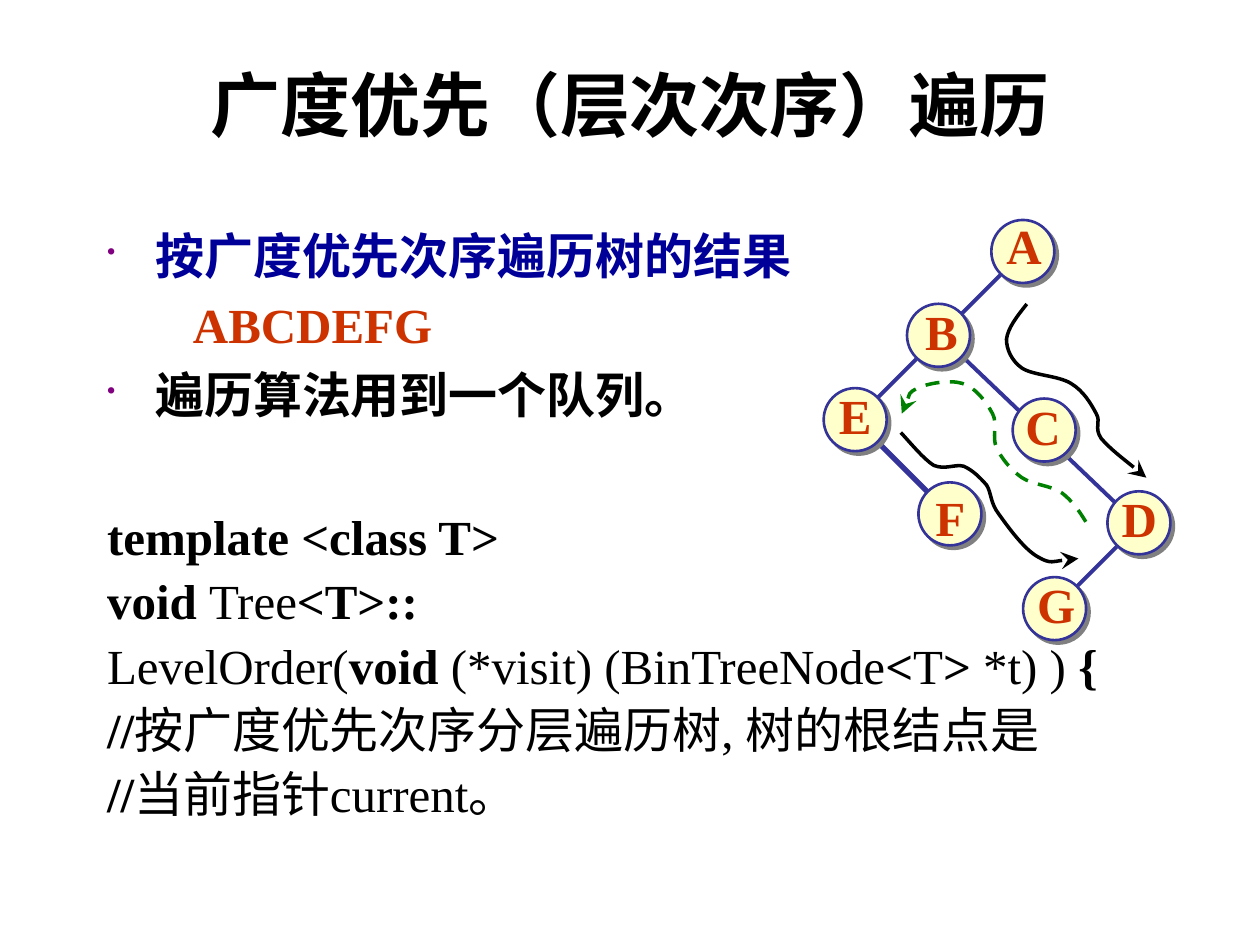
from lxml import etree
from pptx import Presentation
from pptx.dml.color import RGBColor
from pptx.enum.dml import MSO_LINE
from pptx.enum.shapes import MSO_CONNECTOR, MSO_SHAPE
from pptx.enum.text import MSO_ANCHOR, PP_ALIGN
from pptx.oxml.ns import qn
from pptx.util import Cm, Pt

STRAIGHT, OVAL = MSO_CONNECTOR.STRAIGHT, MSO_SHAPE.OVAL
CENTER, MIDDLE, DASH = PP_ALIGN.CENTER, MSO_ANCHOR.MIDDLE, MSO_LINE.DASH

COLORS = {"text": "000000", "result": "000099", "letter": "CC3300", "bullet": "800080",
          "edge": "333399", "node": "FFFFCC", "shadow": "808080", "return": "008000"}
SERIF, SANS = "Times New Roman", "Noto Sans CJK JP"

HEADINGS = [  # text, colour, bulleted
    ("按广度优先次序遍历树的结果", "result", True),
    ("ABCDEFG", "letter", False),
    ("遍历算法用到一个队列。", "text", True),
]
CODE = [  # spans alternate bold, regular, bold, ...
    ["template <class T>"],
    ["void ", "Tree", "<T>::"],
    ["", "LevelOrder(", "void", " (*visit) (BinTreeNode", "<", "T", ">", " *t) ) ", "{"],
    ["//", "按广度优先次序分层遍历树, 树的根结点是"],
    ["//", "当前指针current。"],
]

# Tree geometry in cm, relative to the tree's box
NODE_SIZE = 1.27
NODES = {"A": (4.01, 0.62), "B": (2.31, 2.31), "D": (6.35, 6.09), "C": (4.44, 4.22),
         "E": (0.63, 4.01), "G": (4.65, 7.82), "F": (2.54, 5.91)}
LETTER_SHIFT = (0, -0.09)
LETTER_SHIFTS = {"A": (0.02, -0.14), "B": (0.06, -0.09), "C": (-0.03, -0.09), "F": (0.01, 0.07)}
EDGES = [  # start, end, width in points
    ((6.12, 6.35), (4.85, 7.62), 2.25),
    ((0.84, 4.22), (2.11, 5.49), 3),
    ((3.81, 0.84), (0.84, 3.81), 2.25),
    ((2.74, 2.69), (6.12, 5.92), 2.25),
]
# Bezier chains: a start, then two controls and an end for each piece
ROUTES = [
    ("text", None, [
        (4.09, 1.68), (3.89, 1.93), (3.71, 2.16), (3.68, 2.39), (3.68, 2.59), (3.78, 2.82),
        (3.99, 2.97), (4.22, 3.12), (4.72, 3.12), (4.98, 3.28), (5.23, 3.43), (5.38, 3.68),
        (5.49, 3.89), (5.59, 4.06), (5.44, 4.17), (5.59, 4.39), (5.77, 4.6), (6.35, 5.05),
        (6.5, 5.18)]),
    ("return", DASH, [
        (5.28, 6.07), (5.16, 5.87), (5, 5.64), (4.8, 5.49), (4.57, 5.33), (4.22, 5.33),
        (3.99, 5.18), (3.78, 5.03), (3.58, 4.8), (3.48, 4.57), (3.38, 4.37), (3.51, 4.09),
        (3.4, 3.89), (3.28, 3.66), (3.05, 3.35), (2.79, 3.28), (2.54, 3.2), (2.08, 3.28),
        (1.88, 3.38), (1.68, 3.48), (1.63, 3.78), (1.57, 3.89)]),
    ("text", None, [
        (1.55, 4.27), (1.78, 4.52), (2.01, 4.8), (2.21, 4.93), (2.44, 5.03), (2.64, 4.9),
        (2.82, 4.95), (3, 5.03), (3.15, 5.18), (3.28, 5.33), (3.38, 5.49), (3.35, 5.69),
        (3.53, 5.92), (3.71, 6.17), (4.04, 6.63), (4.32, 6.78), (4.57, 6.93), (4.98, 6.81),
        (5.13, 6.81)]),
]


def rgb(name):
    return RGBColor.from_string(COLORS[name])


def add_xml(parent, tag, **attributes):
    return etree.SubElement(parent, qn(tag), {key: str(value) for key, value in attributes.items()})


def set_font(para, size, color, name=SERIF, bold=True):
    font = para.font
    font.size, font.name, font.bold = Pt(size), name, bold
    font.color.rgb = rgb(color)


def set_indent(para, margin, first=0):
    props = para._p.get_or_add_pPr()
    props.set("marL", str(Cm(margin)))
    props.set("indent", str(Cm(first)))
    return props


def add_bullet(props):
    add_xml(add_xml(props, "a:buClr"), "a:srgbClr", val=COLORS["bullet"])
    add_xml(props, "a:buSzPct", val=50000)
    add_xml(props, "a:buChar", char="•")


def add_title(page, left, top, width, height):
    box = page.shapes.add_textbox(Cm(left), Cm(top), Cm(width), Cm(height))
    frame = box.text_frame
    frame.word_wrap, frame.vertical_anchor = True, MIDDLE
    para = frame.paragraphs[0]
    para.alignment = CENTER
    span = para.add_run()
    span.text = "广度优先（层次次序）遍历"
    set_font(para, 40, "text", SANS)
    add_xml(span._r.get_or_add_rPr(), "a:ea", typeface=SANS)


def add_body(page, left, top, width, height):
    """Bulleted headings followed by the code listing."""
    box = page.shapes.add_textbox(Cm(left), Cm(top), Cm(width), Cm(height))
    frame = box.text_frame
    frame.word_wrap = True
    for index, (text, color, bulleted) in enumerate(HEADINGS):
        para = frame.add_paragraph() if index else frame.paragraphs[0]
        para.add_run().text = text
        set_font(para, 28, color)
        para.space_before = Pt(6)
        if bulleted:
            add_bullet(set_indent(para, 0.97, -0.97))
        else:
            set_indent(para, 1.73)
    for index, spans in enumerate(CODE):
        para = frame.add_paragraph()
        set_font(para, 28, "text")
        set_indent(para, 0.97, -0.97)
        para.line_spacing = 1.05
        para.space_before = Pt(1.5 if index else 46)
        for order, text in enumerate(spans):
            if text:
                span = para.add_run()
                span.text, span.font.bold = text, order % 2 == 0


def add_edge(page, start, end, width):
    edge = page.shapes.add_connector(STRAIGHT, *map(Cm, start + end))
    edge.line.color.rgb, edge.line.width = rgb("edge"), Pt(width)
    add_xml(edge._element.spPr, "a:effectLst")


def add_node(page, x, y):
    half = NODE_SIZE / 2
    node = page.shapes.add_shape(OVAL, Cm(x - half), Cm(y - half), Cm(NODE_SIZE), Cm(NODE_SIZE))
    node.fill.solid()
    node.fill.fore_color.rgb = rgb("node")
    node.line.color.rgb, node.line.width = rgb("edge"), Pt(1.5)
    node.shadow.inherit = False
    effects = node._element.spPr.find(qn("a:effectLst"))
    shadow = add_xml(effects, "a:outerShdw", dist=Pt(2.8), dir=2700000, algn="ctr", rotWithShape=0)
    add_xml(shadow, "a:srgbClr", val=COLORS["shadow"])


def add_letter(page, letter, x, y):
    width, height = 1.2, 1.45
    dx, dy = LETTER_SHIFTS.get(letter, LETTER_SHIFT)
    box = page.shapes.add_textbox(Cm(x + dx - width / 2), Cm(y + dy - height / 2),
                                  Cm(width), Cm(height))
    frame = box.text_frame
    frame.word_wrap, frame.vertical_anchor = False, MIDDLE
    para = frame.paragraphs[0]
    para.alignment = CENTER
    para.add_run().text = letter
    set_font(para, 28, "letter")


def bend_segments(shape):
    """Turn every three straight segments into one cubic Bezier piece."""
    segments = list(shape._element.iter(qn("a:lnTo")))
    for first in range(0, len(segments), 3):
        piece = segments[first:first + 3]
        curve = etree.Element(qn("a:cubicBezTo"))
        piece[0].addprevious(curve)
        for segment in piece:
            curve.append(segment[0])
            segment.getparent().remove(segment)


def add_route(page, points, color, dash):
    start, *rest = [(Cm(x), Cm(y)) for x, y in points]
    builder = page.shapes.build_freeform(*start)
    builder.add_line_segments(rest, close=False)
    route = builder.convert_to_shape()
    bend_segments(route)
    route.fill.background()
    route.shadow.inherit = False
    route.line.color.rgb, route.line.width = rgb(color), Pt(2)
    if dash:
        route.line.dash_style = dash
    add_xml(route.line._get_or_add_ln(), "a:tailEnd", type="stealth", w="lg", len="lg")


def add_tree(page, left, top):
    def place(point):
        return left + point[0], top + point[1]

    for start, end, width in EDGES:
        add_edge(page, place(start), place(end), width)
    for letter, center in NODES.items():
        add_node(page, *place(center))
        add_letter(page, letter, *place(center))
    for color, dash, points in ROUTES:
        add_route(page, [place(point) for point in points], color, dash)


def main():
    deck = Presentation()
    deck.slide_width, deck.slide_height = Cm(25.4), Cm(19.05)
    page = deck.slides.add_slide(deck.slide_layouts[6])
    add_title(page, 1.27, 0.78, 22.86, 2.62)
    add_body(page, 1.91, 4.42, 21.2, 13.3)
    add_tree(page, 16.61, 4.45)
    deck.save("out.pptx")


if __name__ == "__main__":
    main()
